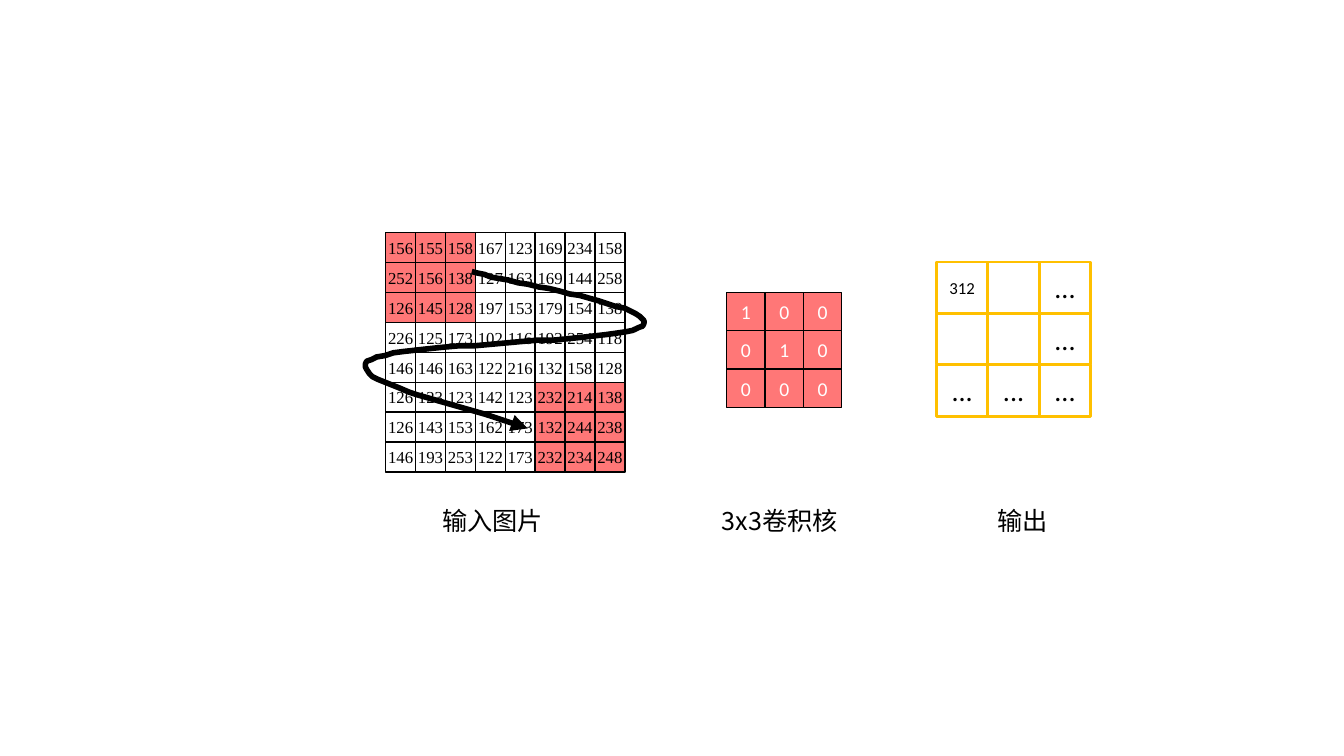
from lxml import etree
from pptx import Presentation
from pptx.dml.color import RGBColor
from pptx.enum import shapes, text
from pptx.oxml import ns
from pptx.util import Pt

BLACK = RGBColor(0x00, 0x00, 0x00)
WHITE = RGBColor(0xFF, 0xFF, 0xFF)
RED = RGBColor(0xFF, 0x77, 0x77)
GOLD = RGBColor(0xFF, 0xC0, 0x00)

INPUT_PIXELS = [
    "156 155 158 167 123 169 234 158",
    "252 156 138 127 163 169 144 258",
    "126 145 128 197 153 179 154 138",
    "226 125 173 102 116 192 254 118",
    "146 146 163 122 216 132 158 128",
    "126 123 123 142 123 232 214 138",
    "126 143 153 162 173 132 244 238",
    "146 193 253 122 173 232 234 248",
]
KERNEL = ["1 0 0", "0 1 0", "0 0 0"]
OUTPUT = [["312", "", "..."], ["", "", "..."], ["...", "...", "..."]]

# left, top, cell size
INPUT_GRID = (275.5, 166.3, 21.36)
KERNEL_GRID = (519.1, 208.8, 27.4)
OUTPUT_GRID = (668.9, 187.2, 36.75)
WINDOW_CELLS = 3
WINDOW_STARTS = [5, 0]  # first row and column of each highlighted window

# label, left, width
LABELS = [("输入图片", 308.9, 104.4), ("3x3卷积核", 508.3, 104.4), ("输出", 705.6, 61.2)]
LABEL_TOP, LABEL_HEIGHT = 357.1, 28.8

SCAN_START = (337, 194.4)
SCAN_CURVES = [  # two control points and an end point each
    ((365.8, 201.6), (473.8, 219.6), (458.9, 232.6)),
    ((444.2, 245.5), (278.6, 244.1), (262.2, 258.5)),
    ((246.2, 273.6), (354.2, 295.2), (376.6, 306.3)),
]
CURVE_STEPS = 24


def set_text(shape, content, size, font, color, align):
    frame = shape.text_frame
    frame.text = content
    paragraph = frame.paragraphs[0]
    paragraph.alignment = align
    for run in paragraph.runs:
        run.font.size = Pt(size)
        run.font.name = font
        run.font.color.rgb = color
        east_asian = etree.SubElement(run.font._element, ns.qn("a:ea"))
        east_asian.set("typeface", font)


def add_square(left, top, side, fill=None, line=None, weight=1):
    shape = drawing.add_shape(
        shapes.MSO_SHAPE.RECTANGLE, Pt(left), Pt(top), Pt(side), Pt(side))
    shape.shadow.inherit = False
    if fill is None:
        shape.fill.background()
    else:
        shape.fill.solid()
        shape.fill.fore_color.rgb = fill
    if line is None:
        shape.line.fill.background()
    else:
        shape.line.color.rgb = line
        shape.line.width = Pt(weight)
    return shape


def add_grid(rows, grid, font, color, size_of, **style):
    """Draw a square for each value; size_of gives a value's text size."""
    left, top, side = grid
    for row, values in enumerate(rows):
        for column, value in enumerate(values):
            cell = add_square(left + column * side, top + row * side, side, **style)
            if not value:
                continue
            frame = cell.text_frame
            frame.margin_left = frame.margin_right = 0
            frame.margin_top = frame.margin_bottom = 0
            frame.word_wrap = False
            frame.vertical_anchor = text.MSO_ANCHOR.MIDDLE
            set_text(cell, value, size_of(value), font, color, text.PP_ALIGN.CENTER)


def curve_points(start, curves):
    """Points along a chain of cubic Bézier curves, without the start."""
    points = []
    for first, second, end in curves:
        for step in range(1, CURVE_STEPS + 1):
            t = step / CURVE_STEPS
            u = 1 - t
            points.append(tuple(
                u**3 * a + 3 * u * u * t * b + 3 * u * t * t * c + t**3 * d
                for a, b, c, d in zip(start, first, second, end)))
        start = end
    return points


def add_scan_arrow():
    builder = drawing.build_freeform(*SCAN_START, scale=Pt(1))
    builder.add_line_segments(curve_points(SCAN_START, SCAN_CURVES), close=False)
    arrow = builder.convert_to_shape()
    arrow.shadow.inherit = False
    arrow.fill.background()
    arrow.line.color.rgb = BLACK
    arrow.line.width = Pt(4)
    head = etree.SubElement(arrow.line._get_or_add_ln(), ns.qn("a:tailEnd"))
    head.set("type", "triangle")


presentation = Presentation()
presentation.slide_width, presentation.slide_height = Pt(960), Pt(540)
slide = presentation.slides.add_slide(presentation.slide_layouts[6])
drawing = slide.shapes.add_group_shape().shapes

input_left, input_top, pixel = INPUT_GRID
for start in WINDOW_STARTS:
    add_square(input_left + start * pixel, input_top + start * pixel,
               WINDOW_CELLS * pixel, fill=RED)

add_grid([row.split() for row in INPUT_PIXELS], INPUT_GRID, "Times New Roman",
         BLACK, lambda value: 12, line=BLACK)
add_grid([row.split() for row in KERNEL], KERNEL_GRID, "Calibri",
         WHITE, lambda value: 14, fill=RED, line=BLACK)
add_scan_arrow()
add_grid(OUTPUT, OUTPUT_GRID, "Calibri", BLACK,
         lambda value: 20 if value == "..." else 12, line=GOLD, weight=2)

for label, left, width in LABELS:
    box = drawing.add_textbox(Pt(left), Pt(LABEL_TOP), Pt(width), Pt(LABEL_HEIGHT))
    box.text_frame.word_wrap = True
    set_text(box, label, 18, "Noto Sans CJK SC", BLACK, text.PP_ALIGN.LEFT)

presentation.save("out.pptx")
